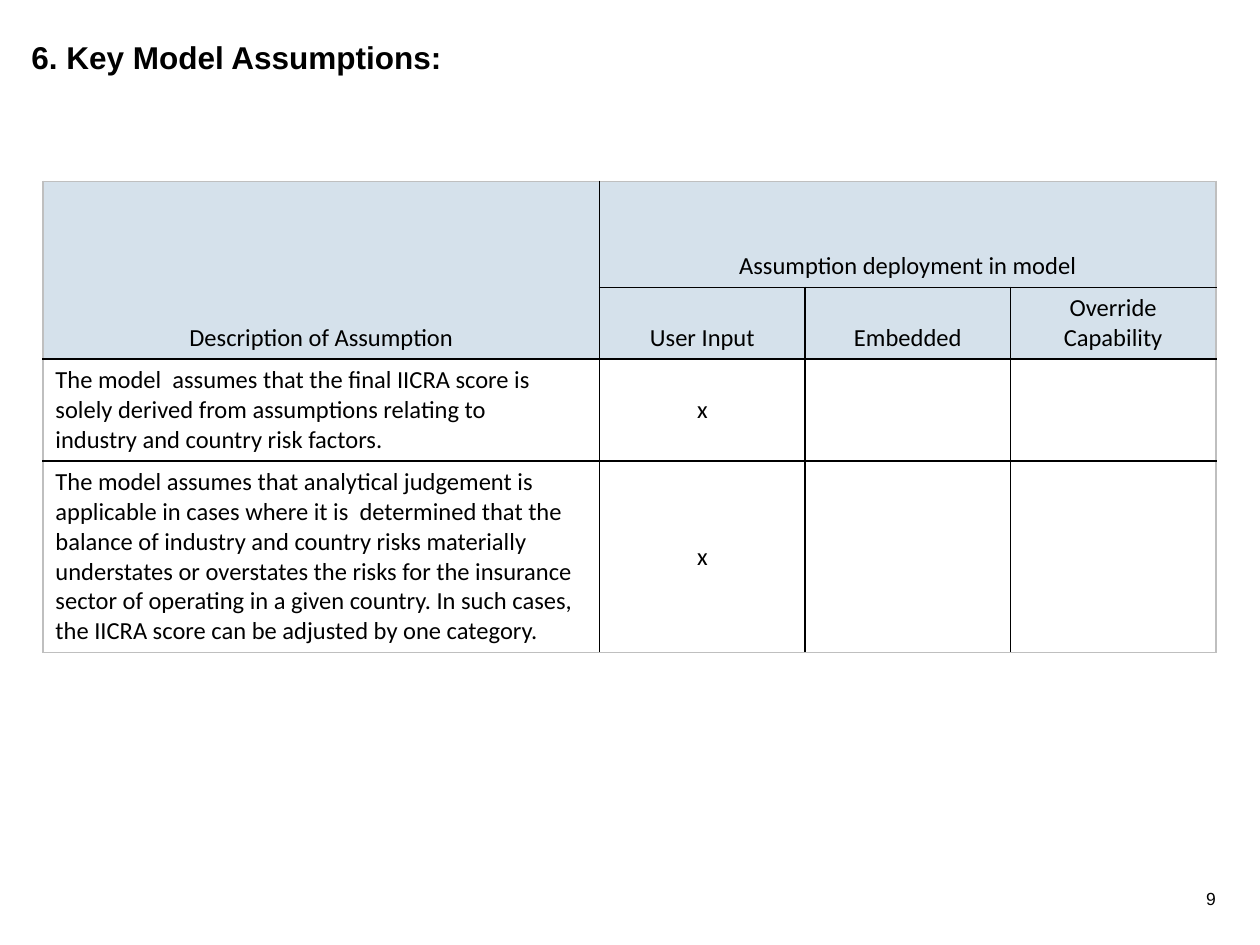
from pptx import Presentation
from pptx.dml.color import RGBColor
from pptx.enum.text import MSO_ANCHOR as Anchor, PP_ALIGN as Align
from pptx.oxml.xmlchemy import OxmlElement as Element
from pptx.util import Inches, Pt

BLACK = RGBColor(0x00, 0x00, 0x00)
HEADER_BLUE = RGBColor(0xD5, 0xE1, 0xEB)
FRAME_GREY = RGBColor(0xBF, 0xBF, 0xBF)

HEADER_ROWS = 2
COLUMN_WIDTHS = [4.42, 1.63, 1.63, 1.63]
ROW_HEIGHTS = [0.84, 0.57, 0.81, 1.52]
MERGES = [((0, 0), (1, 0)), ((0, 1), (0, 3))]
ASSUMPTIONS = [
    ["Description of Assumption", "Assumption deployment in model", "", ""],
    ["", "User Input", "Embedded", "Override Capability"],
    ["The model  assumes that the final IICRA score is solely derived from "
     "assumptions relating to\nindustry and country risk factors.", "x", "", ""],
    ["The model assumes that analytical judgement is applicable in cases where "
     "it is  determined that the balance of industry and country risks materially "
     "understates or overstates the risks for the insurance sector of operating in "
     "a given country. In such cases, the IICRA score can be adjusted by one "
     "category.", "x", "", ""],
]


class SlideBuilder:
    title_style = {"name": "Arial", "size": Pt(18), "bold": True}
    number_style = {"name": "Arial", "size": Pt(10), "bold": False}
    table_style = {"name": "Calibri", "size": Pt(14), "bold": False}

    def __init__(self, deck):
        self.width, self.height = deck.slide_width, deck.slide_height
        self.slide = deck.slides.add_slide(deck.slide_layouts[6])

    def place(self, x, y, w, h):
        return [round(share * side) for share, side in
                zip((x, y, w, h), (self.width, self.height) * 2)]

    def fill_text(self, frame, text, style, align):
        frame.text = text
        for paragraph in frame.paragraphs:
            paragraph.alignment = align
            for font in [paragraph.font, *(run.font for run in paragraph.runs)]:
                for attribute, value in style.items():
                    setattr(font, attribute, value)
                font.color.rgb = BLACK

    def text(self, text, area, style, align=Align.LEFT):
        frame = self.slide.shapes.add_textbox(*self.place(*area)).text_frame
        layout = {"word_wrap": True, "margin_left": 0, "margin_right": 0,
                  "margin_top": 0, "margin_bottom": 0}
        for attribute, value in layout.items():
            setattr(frame, attribute, value)
        self.fill_text(frame, text, style, align)

    def borders(self, cell, outer_sides):
        properties = cell._tc.get_or_add_tcPr()
        for position, side in enumerate("LRTB"):
            line = Element(f"a:ln{side}")
            line.set("w", str(Pt(1)))
            fill = Element("a:solidFill")
            color = Element("a:srgbClr")
            color.set("val", str(FRAME_GREY if side in outer_sides else BLACK))
            fill.append(color)
            line.append(fill)
            properties.insert(position, line)

    def table(self, rows, area, widths, heights, merges):
        table = self.slide.shapes.add_table(
            len(rows), len(widths), *self.place(*area)).table
        table.first_row = table.horz_banding = False
        for column, width in zip(table.columns, widths):
            column.width = Inches(width)
        for row, height in zip(table.rows, heights):
            row.height = Inches(height)
        for first, last in merges:
            table.cell(*first).merge(table.cell(*last))
        for r, texts in enumerate(rows):
            for c, text in enumerate(texts):
                self.cell(table.cell(r, c), text, r, c, len(rows), len(texts))

    def cell(self, cell, text, r, c, row_count, column_count):
        header = r < HEADER_ROWS
        cell.vertical_anchor = Anchor.BOTTOM if header else Anchor.MIDDLE
        if header:
            cell.fill.solid()
            cell.fill.fore_color.rgb = HEADER_BLUE
        else:
            cell.fill.background()
        align = Align.CENTER if header or c else Align.LEFT
        self.fill_text(cell.text_frame, text, self.table_style, align)
        if not cell.is_spanned:
            edges = {"L": c == 0, "R": c + cell.span_width == column_count,
                     "T": r == 0, "B": r + cell.span_height == row_count}
            self.borders(cell, [side for side, outer in edges.items() if outer])


def main():
    deck = Presentation()
    deck.slide_width, deck.slide_height = Inches(10), Inches(7.5)
    builder = SlideBuilder(deck)
    builder.text("6. Key Model Assumptions:", (0.025, 0.04, 0.95, 0.05),
                 builder.title_style)
    builder.table(ASSUMPTIONS, (0.034, 0.192, 0.931, 0.5),
                  COLUMN_WIDTHS, ROW_HEIGHTS, MERGES)
    builder.text("9", (0.942, 0.94, 0.023, 0.04), builder.number_style, Align.RIGHT)
    deck.save("out.pptx")


if __name__ == "__main__":
    main()
